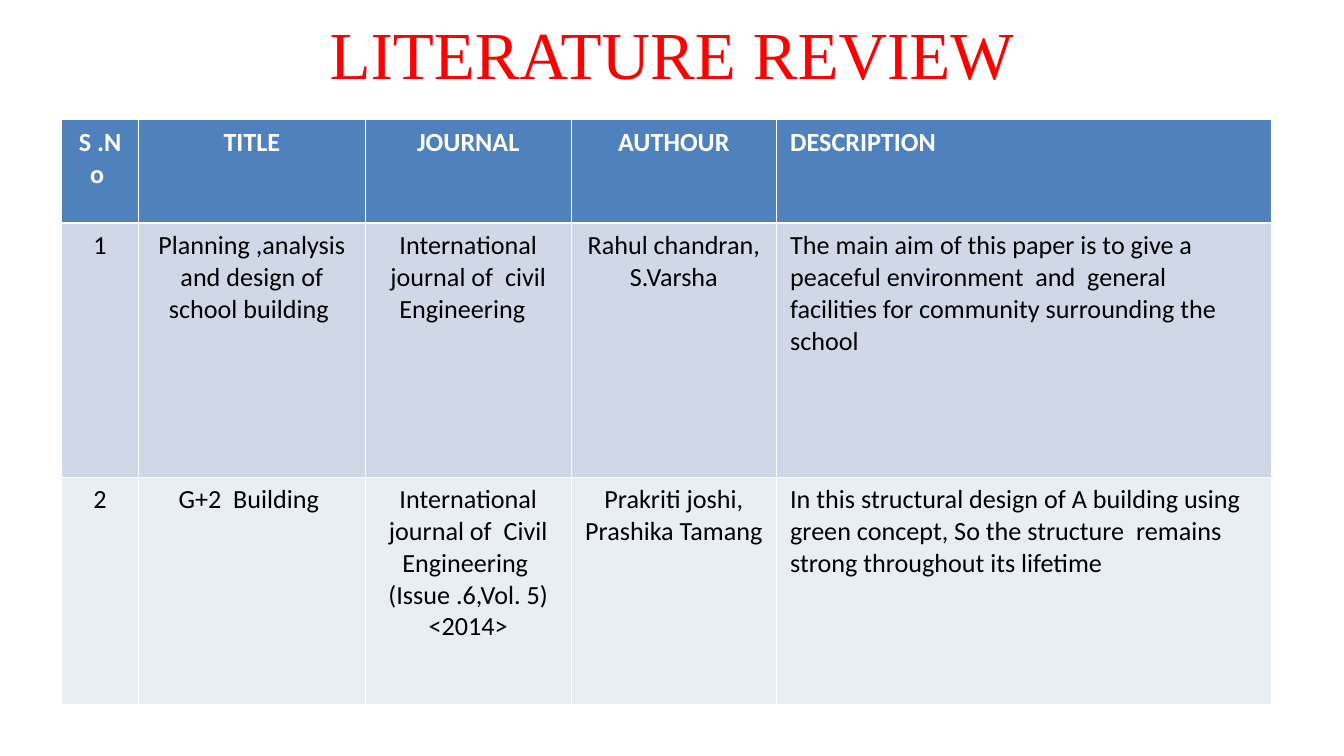
from lxml import etree
from pptx import Presentation
from pptx.dml.color import RGBColor
from pptx.enum.text import MSO_ANCHOR, PP_ALIGN
from pptx.oxml.ns import qn
from pptx.util import Inches, Pt

CENTER, LEFT, MIDDLE = PP_ALIGN.CENTER, PP_ALIGN.LEFT, MSO_ANCHOR.MIDDLE
COLORS = {"title": "FF0000", "header": "4F81BD", "odd": "D0D8E8",
          "even": "E9EDF4", "white": "FFFFFF", "text": "000000"}
COL_WIDTHS = [0.57, 1.69, 1.53, 1.53, 3.68]
ROW_HEIGHTS = [0.77, 1.89, 1.69]
ROW_FILLS = ["header", "odd", "even"]
ROWS = [
    ["S .No ", "TITLE", "JOURNAL", "AUTHOUR", "DESCRIPTION"],
    ["1", "Planning ,analysis and design of school building ",
     "International journal of  civil Engineering  ",
     "Rahul chandran,\nS.Varsha",
     "The main aim of this paper is to give a peaceful environment  and  general "
     "facilities for community surrounding the school"],
    ["2", "G+2  Building ",
     "International journal of  Civil Engineering \n(Issue .6,Vol. 5) <2014>",
     "Prakriti joshi,\nPrashika Tamang",
     "In this structural design of A building using green concept, So the structure  "
     "remains strong throughout its lifetime"],
]


def format_text(tf, font, size, color, align, bold=False):
    for p in tf.paragraphs:
        p.alignment = align
        for r in p.runs:
            r.font.name, r.font.size, r.font.bold = font, Pt(size), bold
            r.font.color.rgb = RGBColor.from_string(COLORS[color])


def add_border(cell, side, width):
    """Draw one white cell edge; side is L, R, T or B."""
    ln = etree.SubElement(cell._tc.get_or_add_tcPr(), qn(f"a:ln{side}"), w=str(Pt(width)))
    fill = etree.SubElement(ln, qn("a:solidFill"))
    etree.SubElement(fill, qn("a:srgbClr"), val=COLORS["white"])


prs = Presentation()
prs.slide_width = Inches(10)
prs.slide_height = prs.slide_width * 9 // 16
s = prs.slides.add_slide(prs.slide_layouts[5])

title = s.shapes.title
title.left, title.top, title.width, title.height = Inches(0.5), 0, Inches(9), Inches(0.79)
title.text_frame.text = "LITERATURE REVIEW"
title.text_frame.vertical_anchor = MIDDLE
format_text(title.text_frame, "Times New Roman", 36, "title", CENTER)

table = s.shapes.add_table(len(ROWS), len(COL_WIDTHS), Inches(0.46), Inches(0.89),
                           Inches(sum(COL_WIDTHS)), Inches(sum(ROW_HEIGHTS))).table
for column, width in zip(table.columns, COL_WIDTHS):
    column.width = Inches(width)

for i, texts in enumerate(ROWS):
    is_header = i == 0
    table.rows[i].height = Inches(ROW_HEIGHTS[i])
    for j, text in enumerate(texts):
        cell = table.cell(i, j)
        cell.text_frame.text = text
        format_text(cell.text_frame, "Calibri", 14, "white" if is_header else "text",
                    LEFT if j == len(texts) - 1 else CENTER, is_header)
        for side in "LRTB":
            thick = (i, side) in [(0, "B"), (1, "T")]
            add_border(cell, side, 1.47 if thick else 0.45)
        cell.fill.solid()
        cell.fill.fore_color.rgb = RGBColor.from_string(COLORS[ROW_FILLS[i]])

prs.save("out.pptx")
